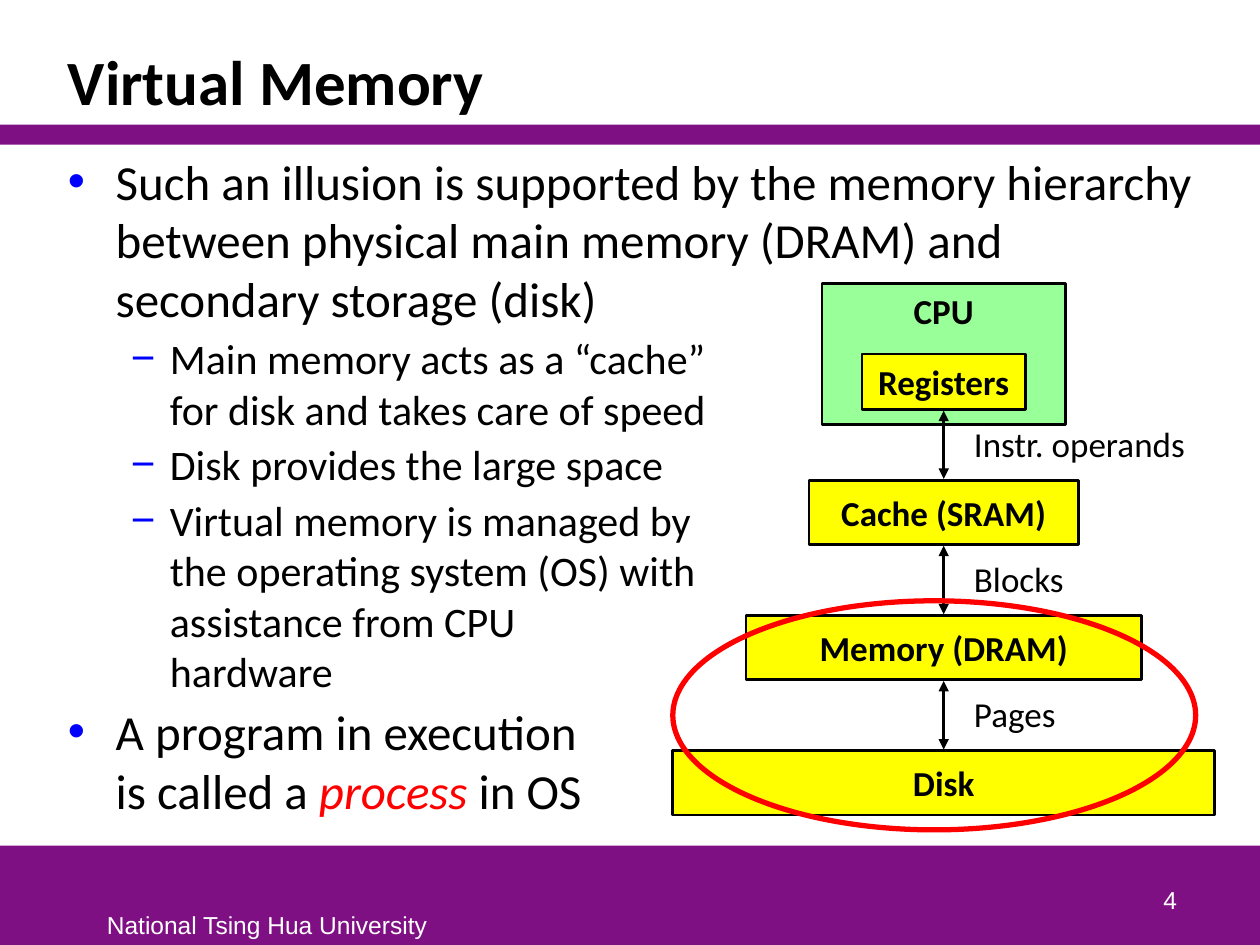
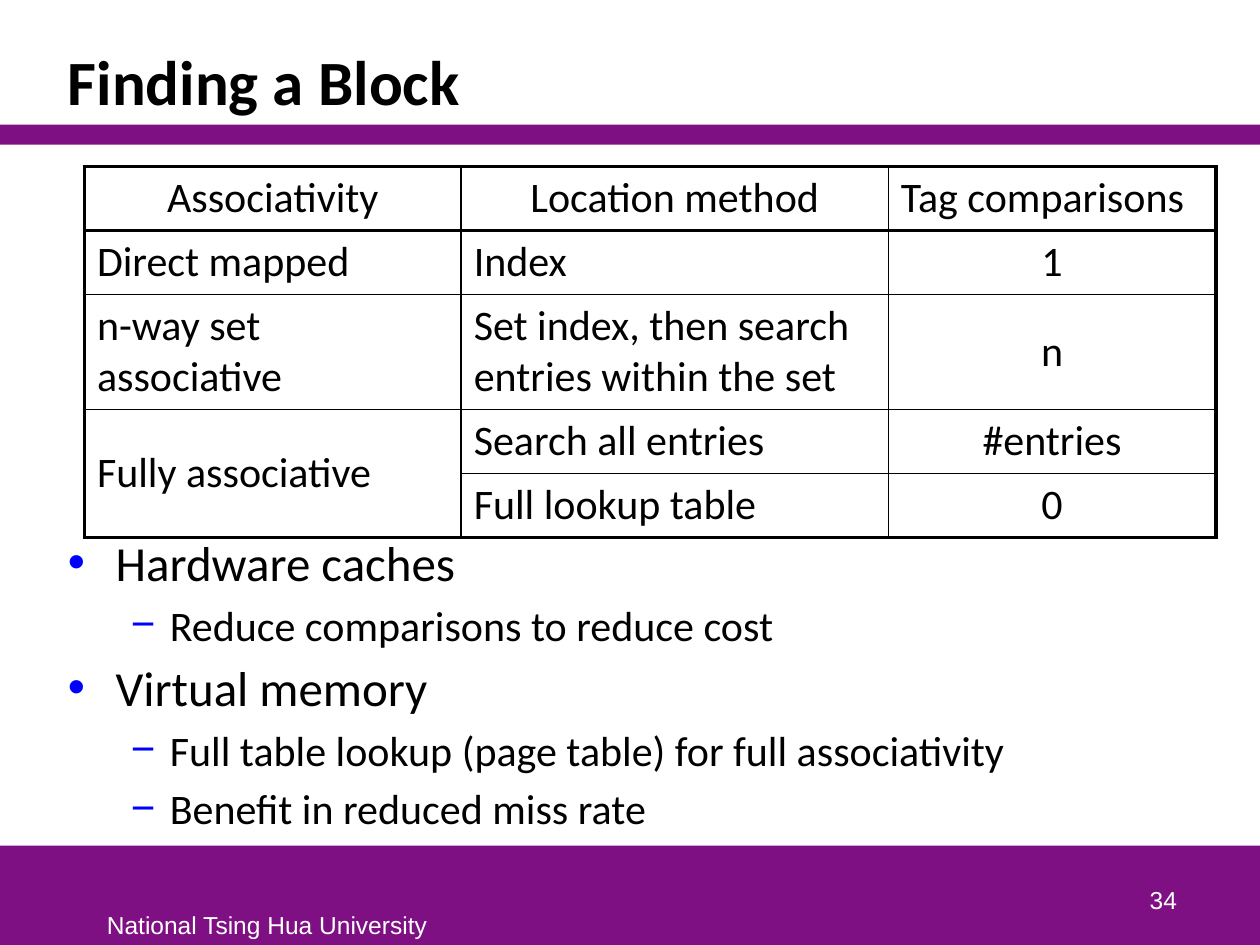
from dataclasses import dataclass
from itertools import pairwise

from lxml.etree import SubElement
from pptx import Presentation
from pptx.dml.color import RGBColor
from pptx.enum.shapes import MSO_CONNECTOR as Connector, MSO_SHAPE as Preset
from pptx.enum.text import MSO_ANCHOR as Anchor, PP_ALIGN as Align
from pptx.oxml.ns import qn
from pptx.util import Inches, Pt

BLACK, WHITE, PURPLE = "000000", "FFFFFF", "7F1084"
BLUE, RED, YELLOW, GREEN = "0000FF", "FF0000", "FFFF00", "99FF99"
BODY_FONT, FOOTER_FONT = "Calibri", "Arial"
LEVELS = [("•", 28, 0.38, 0.38), ("−", 24, 0.81, 0.31)]
FOOTER = "National Tsing Hua University"


@dataclass
class Box:
    left: float
    top: float
    width: float
    height: float

    def area(self, left, top, width, height):
        return Box(self.left + self.width * left / 100, self.top + self.height * top / 100,
                   self.width * width / 100, self.height * height / 100)

    def centred(self, top, width, height):
        return self.area((100 - width) / 2, top, width, height)

    @property
    def middle(self):
        return self.left + self.width / 2

    @property
    def bottom(self):
        return self.top + self.height

    def emu(self):
        return [Inches(size) for size in (self.left, self.top, self.width, self.height)]


SLIDE = Box(0, 0, 10, 7.5)


def colour(code):
    return RGBColor.from_string(code)


def style(span, size, code=BLACK, bold=False, italic=False, font=BODY_FONT):
    span.font.name, span.font.size = font, Pt(size)
    span.font.bold, span.font.italic = bold, italic
    span.font.color.rgb = colour(code)


def add_figure(page, preset, box, fill=None, line=None, weight=1.5):
    shape = page.shapes.add_shape(preset, *box.emu())
    shape.shadow.inherit = False
    if fill:
        shape.fill.solid()
        shape.fill.fore_color.rgb = colour(fill)
    else:
        shape.fill.background()
    if line:
        shape.line.color.rgb = colour(line)
        shape.line.width = Pt(weight)
    else:
        shape.line.fill.background()
    return shape


def write(shape, text, size, anchor=Anchor.TOP, align=Align.LEFT, wrap=True, spacing=None, **look):
    frame = shape.text_frame
    frame.text = text
    frame.word_wrap, frame.vertical_anchor = wrap, anchor
    para = frame.paragraphs[0]
    para.alignment, para.line_spacing = align, spacing
    style(para.runs[0], size, **look)
    return frame


def add_text(page, box, text, size, **layout):
    return write(page.shapes.add_textbox(*box.emu()), text, size, **layout)


def add_page(deck, title, number):
    page = deck.slides.add_slide(deck.slide_layouts[6])
    for top, height in ((89.5, 10.5), (13.2, 2.1)):
        add_figure(page, Preset.RECTANGLE, SLIDE.area(0, top, 100, height), PURPLE)
    footer = {"font": FOOTER_FONT, "code": WHITE}
    add_text(page, SLIDE.area(7.5, 95.6, 27.6, 4.4), FOOTER, 14, wrap=False, **footer)
    add_text(page, SLIDE.area(73.6, 90.8, 20.8, 6.67), str(number), 14,
             anchor=Anchor.BOTTOM, align=Align.RIGHT, **footer)
    add_text(page, SLIDE.area(4.4, 3.33, 91.2, 9.87), title, 36,
             anchor=Anchor.BOTTOM, spacing=0.85, bold=True)
    return page


def add_bullets(page, box, items, gap=3):
    frame = page.shapes.add_textbox(*box.emu()).text_frame
    frame.word_wrap = True
    for index, (level, text, *extra) in enumerate(items):
        para = frame.paragraphs[0] if index == 0 else frame.add_paragraph()
        mark, size, margin, hang = LEVELS[level]
        para.text, para.level, para.space_before = text, level, Pt(gap)
        for span in para.runs:
            style(span, size)
        for words, look in extra:
            span = para.add_run()
            span.text = words
            style(span, size, **look)
        props = para._p.get_or_add_pPr()
        props.set("marL", str(Inches(margin)))
        props.set("indent", str(-Inches(hang)))
        SubElement(SubElement(props, qn("a:buClr")), qn("a:srgbClr"), val=BLUE)
        SubElement(props, qn("a:buFont"), typeface=FOOTER_FONT)
        SubElement(props, qn("a:buChar"), char=mark)


def add_double_arrow(page, x, top, bottom):
    arrow = page.shapes.add_connector(Connector.STRAIGHT, Inches(x), Inches(top),
                                      Inches(x), Inches(bottom))
    arrow.line.color.rgb, arrow.line.width = colour(BLACK), Pt(1.5)
    line = arrow.line._get_or_add_ln()
    for end in ("a:headEnd", "a:tailEnd"):
        SubElement(line, qn(end), type="triangle")
    SubElement(arrow._element.spPr, qn("a:effectLst"))


def add_hierarchy(page, box):
    cpu = add_figure(page, Preset.RECTANGLE, box.centred(0, 44.9, 26.5), GREEN, BLACK)
    write(cpu, "CPU", 20, align=Align.CENTER, bold=True)
    first, pitch, height = 37, 25.45, 12.1
    stores = [("Registers", box.centred(13.3, 30.2, 10.4))]
    for row, (name, width) in enumerate((("Cache (SRAM)", 49.8), ("Memory (DRAM)", 73), ("Disk", 100))):
        stores.append((name, box.centred(first + row * pitch, width, height)))
    for name, place in stores:
        store = add_figure(page, Preset.RECTANGLE, place, YELLOW, BLACK)
        write(store, name, 20, anchor=Anchor.MIDDLE, align=Align.CENTER, wrap=False, bold=True)

    transfers = [("Instr. operands", 1.82), ("Blocks", 0.85), ("Pages", 0.78)]
    for ((_, upper), (_, lower)), (label, width) in zip(pairwise(stores), transfers):
        add_double_arrow(page, box.middle, upper.bottom + 0.01, lower.top - 0.01)
        place = Box(box.middle + 0.18, lower.top - 0.44, width, 0.34)
        frame = add_text(page, place, label, 20, wrap=False, spacing=0.85)
        frame.margin_left = frame.margin_right = Inches(0.06)
        frame.margin_top = frame.margin_bottom = Inches(0.03)
    add_figure(page, Preset.OVAL, box.area(0, 59.7, 96.5, 43.1), None, RED, 3)


def add_borders(cell, sides):
    props = cell._tc.get_or_add_tcPr()
    for index, (side, weight) in enumerate(sides.items()):
        line = SubElement(props, qn(f"a:ln{side}"), w=str(Pt(weight)))
        SubElement(SubElement(line, qn("a:solidFill")), qn("a:srgbClr"), val=BLACK)
        props.insert(index, line)


def add_methods_table(page, box, rows, columns, heights, centred, middle):
    table = page.shapes.add_table(len(rows), len(columns), *box.emu()).table
    for column, share in zip(table.columns, columns):
        column.width = Inches(box.width * share / 100)
    for row, share in zip(table.rows, heights):
        row.height = Inches(box.height * share / 100)
    last_row, last_column = len(rows), len(columns) - 1
    table.cell(last_row - 2, 0).merge(table.cell(last_row - 1, 0))
    thick, header, thin = 2.25, 1.5, 1
    for r, texts in enumerate(rows):
        for c, text in enumerate(texts):
            cell = table.cell(r, c)
            cell.fill.background()
            if cell.is_spanned:
                continue
            cell.text = text
            para = cell.text_frame.paragraphs[0]
            para.alignment = Align.CENTER if (r, c) in centred else Align.LEFT
            style(para.runs[0], 24)
            if (r, c) in middle:
                cell.vertical_anchor = Anchor.MIDDLE
            end = r + (cell.span_height if cell.is_merge_origin else 1)
            add_borders(cell, {
                "L": thick if c == 0 else thin,
                "R": thick if c == last_column else thin,
                "T": {0: thick, 1: header}.get(r, thin),
                "B": {1: header, last_row: thick}.get(end, thin),
            })


def build_virtual_memory(deck):
    page = add_page(deck, "Virtual Memory", 4)
    add_bullets(page, SLIDE.area(4.4, 15.33, 91.2, 73.7), [
        (0, "Such an illusion is supported by the memory hierarchy between physical "
            "main memory (DRAM) and secondary storage (disk)"),
        (1, "Main memory acts as a “cache” \nfor disk and takes care of speed"),
        (1, "Disk provides the large space"),
        (1, "Virtual memory is managed by \nthe operating system (OS) with\n"
            "assistance from CPU \nhardware"),
        (0, "A program in execution\nis called a ",
         ("process ", {"code": RED, "italic": True}), ("in OS", {})),
    ])
    add_hierarchy(page, SLIDE.area(53.4, 30, 43, 56.25))


def build_finding_block(deck):
    page = add_page(deck, "Finding a Block", 34)
    add_bullets(page, SLIDE.area(4.4, 55.7, 91.2, 33.3), [
        (0, "Hardware caches"),
        (1, "Reduce comparisons to reduce cost"),
        (0, "Virtual memory"),
        (1, "Full table lookup (page table) for full associativity"),
        (1, "Benefit in reduced miss rate"),
    ], gap=4.5)
    rows = [
        ("Associativity", "Location method", "Tag comparisons"),
        ("Direct mapped", "Index", "1"),
        ("n-way set associative", "Set index, then search entries within the set", "n"),
        ("Fully associative", "Search all entries", "#entries"),
        ("", "Full lookup table", "0"),
    ]
    add_methods_table(page, SLIDE.area(6.7, 17.6, 89.8, 39.3), rows,
                      columns=(33.3, 37.75, 28.95), heights=(17.25, 17.25, 31, 17.25, 17.25),
                      centred={(0, 0), (0, 1), (1, 2), (2, 2), (3, 2), (4, 2)},
                      middle={(2, 2), (3, 0)})


def main():
    deck = Presentation()
    deck.slide_width, deck.slide_height = Inches(SLIDE.width), Inches(SLIDE.height)
    build_virtual_memory(deck)
    build_finding_block(deck)
    deck.save("out.pptx")


if __name__ == "__main__":
    main()
